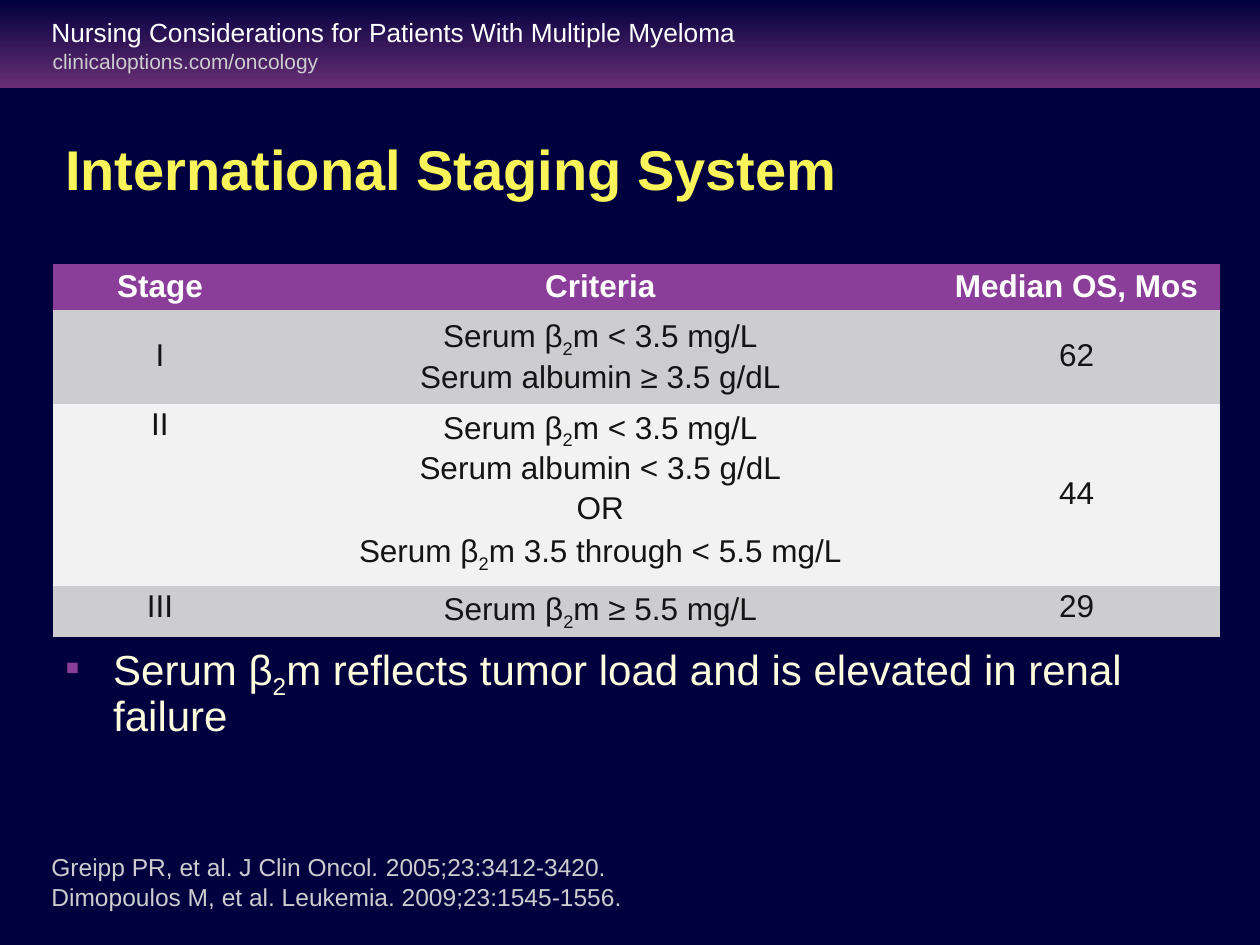
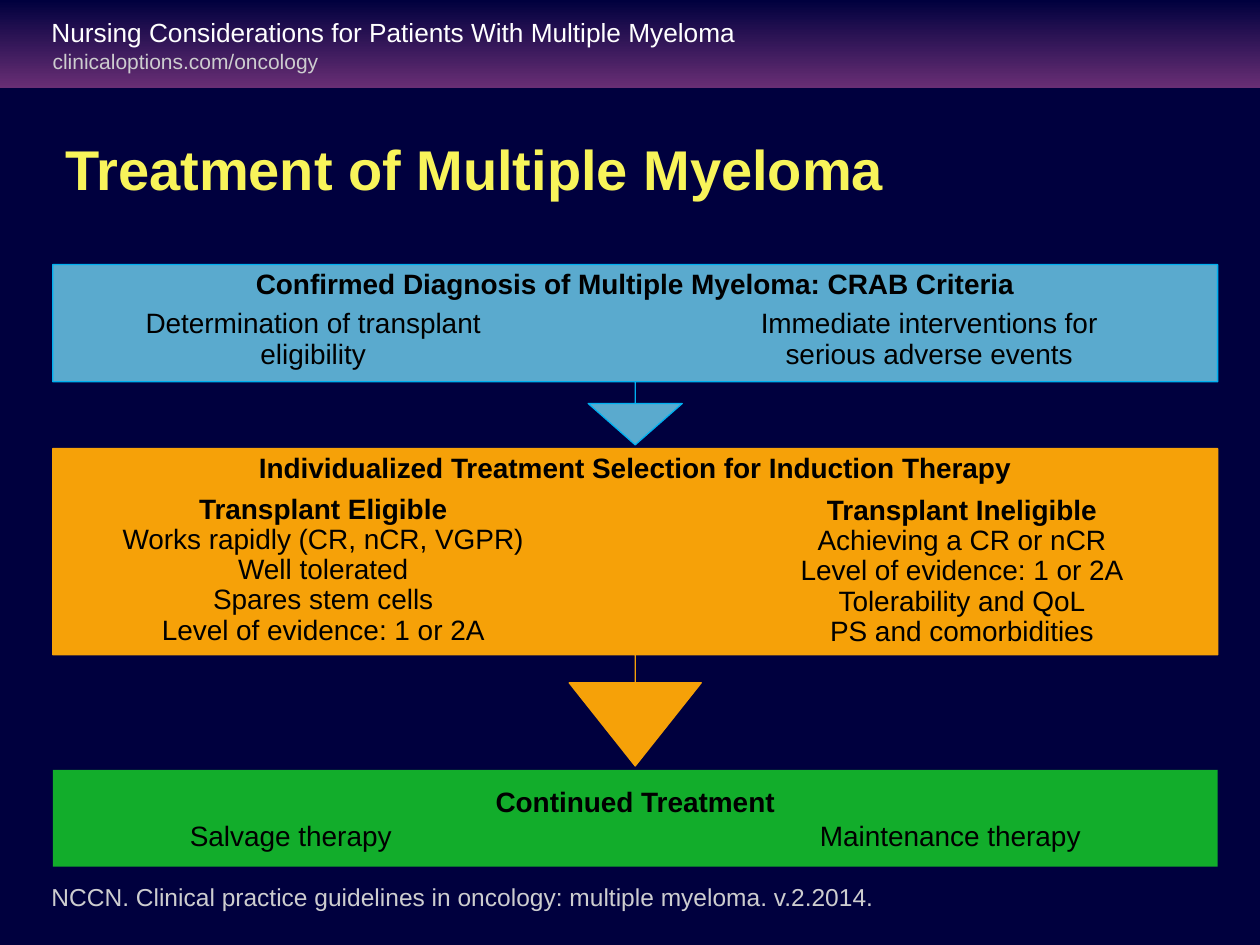
from lxml import etree
from pptx import Presentation
from pptx import util as u
from pptx.dml.color import RGBColor
from pptx.enum import shapes, text
from pptx.oxml.ns import qn

Pt = u.Pt
NAVY = RGBColor(0x00, 0x00, 0x3E)
PLUM = RGBColor(0x68, 0x2E, 0x74)
PURPLE = RGBColor(0x8B, 0x3D, 0x9A)
YELLOW = RGBColor(0xF8, 0xF4, 0x5A)
CREAM = RGBColor(0xFE, 0xFD, 0xDE)
SILVER = RGBColor(0xCD, 0xCD, 0xCF)
PALE = RGBColor(0xF2, 0xF2, 0xF2)
WHITE = RGBColor(0xFF, 0xFF, 0xFF)
INK = RGBColor(0x14, 0x14, 0x15)
BLACK = RGBColor(0x00, 0x00, 0x00)
SKY = RGBColor(0x5A, 0xAA, 0xCE)
CYAN = RGBColor(0x00, 0xB0, 0xF0)
ORANGE = RGBColor(0xF6, 0xA1, 0x08)
GREEN = RGBColor(0x12, 0xAD, 0x2B)

TOP, MIDDLE, BOTTOM = (
    text.MSO_ANCHOR.TOP, text.MSO_ANCHOR.MIDDLE, text.MSO_ANCHOR.BOTTOM)
LEFT, CENTER = text.PP_ALIGN.LEFT, text.PP_ALIGN.CENTER
SUBSCRIPT = ("baseline", "-25000")
ITALIC = ("i", "1")


def write(frame, lines, size, color, bold=0, align=LEFT, spacing=None,
          before=0, after=0, mark=SUBSCRIPT):
    for row, line in enumerate(lines):
        para = frame.paragraphs[0] if row == 0 else frame.add_paragraph()
        layout = {"alignment": align, "line_spacing": spacing,
                  "space_before": Pt(before if row else 0),
                  "space_after": Pt(after)}
        for name, value in layout.items():
            setattr(para, name, value)
        for index, piece in enumerate(line.split("|")):
            for part_index, part in enumerate(piece.split("\n")):
                if part_index:
                    para.add_line_break()
                span = para.add_run()
                span.text = part
                look = {"name": "Arial", "size": Pt(size), "bold": row < bold}
                for name, value in look.items():
                    setattr(span.font, name, value)
                span.font.color.rgb = color
                if index % 2:
                    span._r.get_or_add_rPr().set(*mark)


def add_text(page, place, lines, size, color, anchor=TOP, wrap=True, **style):
    box = page.shapes.add_textbox(*map(Pt, place))
    box.text_frame.word_wrap = wrap
    box.text_frame.vertical_anchor = anchor
    write(box.text_frame, lines, size, color, **style)
    return box


deck = Presentation()
deck.slide_width, deck.slide_height = Pt(720), Pt(540)
deck.slide_master.background.fill.solid()
deck.slide_master.background.fill.fore_color.rgb = NAVY

pages = []
for title in ["International Staging System", "Treatment of Multiple Myeloma"]:
    page = deck.slides.add_slide(deck.slide_layouts[6])
    band = page.shapes.add_shape(
        shapes.MSO_SHAPE.RECTANGLE, 0, 0, Pt(720), Pt(50.3))
    band.shadow.inherit = False
    band.line.fill.background()
    band.fill.gradient()
    band.fill.gradient_angle = 90
    for stop, color in zip(band.fill.gradient_stops, [PLUM, NAVY]):
        stop.color.rgb = color
    add_text(page, (23, 24.5, 166.3, 21.6), ["clinicaloptions.com/oncology"],
             12, SILVER, wrap=False)
    add_text(page, (22.3, 5.8, 564.5, 25.2),
             ["Nursing Considerations for Patients With Multiple Myeloma"],
             15, WHITE)
    add_text(page, (30.2, 52.6, 666.7, 87.1), [title], 32, YELLOW,
             anchor=MIDDLE, bold=1)
    pages.append(page)
staging, treatment = pages

note = add_text(
    staging, (30.2, 364.3, 666, 137.5),
    ["Serum β|2|m reflects tumor load and is elevated in renal failure"],
    24, CREAM, spacing=0.9, after=7)
bullet = note.text_frame.paragraphs[0]._p.get_or_add_pPr()
bullet.set("marL", str(Pt(27.4)))
bullet.set("indent", str(-Pt(27.4)))
bullet_color = etree.SubElement(bullet, qn("a:buClr"))
etree.SubElement(bullet_color, qn("a:srgbClr")).set("val", str(PURPLE))
etree.SubElement(bullet, qn("a:buFont")).set("typeface", "Arial")
etree.SubElement(bullet, qn("a:buChar")).set("char", "▪")

add_text(staging, (22.3, 483.1, 673.9, 41),
         ["Greipp PR, et al. J Clin Oncol|. |2005;23:3412-3420.\n"
          "Dimopoulos M, et al. Leukemia. 2009;23:1545-1556."],
         14, SILVER, anchor=BOTTOM, after=4.4, mark=ITALIC)

stages = [
    (26.4, PURPLE, [BOTTOM] * 3,
     [["Stage"], ["Criteria"], ["Median OS, Mos"]]),
    (53.6, SILVER, [MIDDLE] * 3,
     [["I"], ["Serum β|2|m < 3.5 mg/L", "Serum albumin ≥ 3.5 g/dL"], ["62"]]),
    (103.6, PALE, [TOP, TOP, MIDDLE],
     [["II"], ["Serum β|2|m < 3.5 mg/L", "Serum albumin < 3.5 g/dL", "OR",
               "Serum β|2|m 3.5 through < 5.5 mg/L"], ["44"]]),
    (29.5, SILVER, [TOP] * 3,
     [["III"], ["Serum β|2|m ≥ 5.5 mg/L"], ["29"]]),
]
table = staging.shapes.add_table(
    4, 3, Pt(30.2), Pt(150.7), Pt(666.7), Pt(213.1)).table
table.horz_banding = False
table._tbl.tblPr[0].text = "{2D5ABB26-0587-4C30-8999-92F81FD0307C}"
for column, width in zip(table.columns, [122.4, 380.9, 163.4]):
    column.width = Pt(width)
for row, (height, fill, anchors, entries) in enumerate(stages):
    table.rows[row].height = Pt(height)
    for column, lines in enumerate(entries):
        cell = table.cell(row, column)
        cell.fill.solid()
        cell.fill.fore_color.rgb = fill
        layout = {"vertical_anchor": anchors[column],
                  "margin_left": Pt(7.9), "margin_right": Pt(7.9),
                  "margin_top": Pt(3.6), "margin_bottom": Pt(3.6)}
        for name, value in layout.items():
            setattr(cell, name, value)
        write(cell.text_frame, lines, 18, INK if row else WHITE,
              bold=0 if row else 1, align=CENTER, spacing=0.9, before=4.5)

CALLOUT = shapes.MSO_SHAPE.DOWN_ARROW_CALLOUT
steps = [
    (shapes.MSO_SHAPE.RECTANGLE, 439.9, 55.4, GREEN, None, [], MIDDLE, None, 0,
     ["Continued Treatment", "Salvage therapy\tMaintenance therapy"]),
    (CALLOUT, 151.2, 103, SKY, CYAN, [0, 0.261, 0.229, 0.65], TOP, 0.9, 5,
     ["Confirmed Diagnosis of Multiple Myeloma: CRAB Criteria"]),
    (CALLOUT, 256.3, 181.4, ORANGE, ORANGE, [0, 0.208, 0.262, 0.65], TOP, 0.9,
     5, ["Individualized Treatment Selection for Induction Therapy"]),
]
for kind, top, height, fill, edge, bends, anchor, spacing, after, lines in steps:
    step = treatment.shapes.add_shape(
        kind, Pt(30.2), Pt(top), Pt(665.6), Pt(height))
    step.shadow.inherit = False
    step.fill.solid()
    step.fill.fore_color.rgb = fill
    if edge is None:
        step.line.fill.background()
    else:
        step.line.color.rgb = edge
        step.line.width = Pt(0.75)
    for index, bend in enumerate(bends):
        step.adjustments[index] = bend
    step.text_frame.word_wrap = kind == CALLOUT
    step.text_frame.vertical_anchor = anchor
    write(step.text_frame, lines, 16, BLACK, bold=1, align=CENTER,
          spacing=spacing, after=after)
    for para in step.text_frame.paragraphs[1:]:
        tabs = etree.SubElement(para._p.get_or_add_pPr(), qn("a:tabLst"))
        stop = etree.SubElement(tabs, qn("a:tab"))
        stop.set("pos", str(Pt(360)))
        stop.set("algn", "l")

details = [
    ((63.4, 173.5, 231.1, 41.8), 0, 5,
     ["Determination of transplant eligibility"]),
    ((415.4, 173.5, 231.1, 41.8), 0, 5,
     ["Immediate interventions for serious adverse events"]),
    ((38.9, 279.4, 291.6, 93.6), 1, 0,
     ["Transplant Eligible", "Works rapidly (CR, nCR, VGPR)",
      "Well tolerated", "Spares stem cells", "Level of evidence: 1 or 2A"]),
    ((403.9, 280.1, 291.6, 93.6), 1, 0,
     ["Transplant Ineligible", "Achieving a CR or nCR",
      "Level of evidence: 1 or 2A", "Tolerability and QoL",
      "PS and comorbidities"]),
]
for place, bold, after, lines in details:
    add_text(treatment, place, lines, 16, BLACK, bold=bold, align=CENTER,
             spacing=0.9, after=after)

add_text(treatment, (22.3, 500.4, 563.8, 24.5),
         ["NCCN. Clinical practice guidelines in oncology: "
          "multiple myeloma. v.2.2014."], 14, SILVER, after=4.4)

deck.save("out.pptx")
